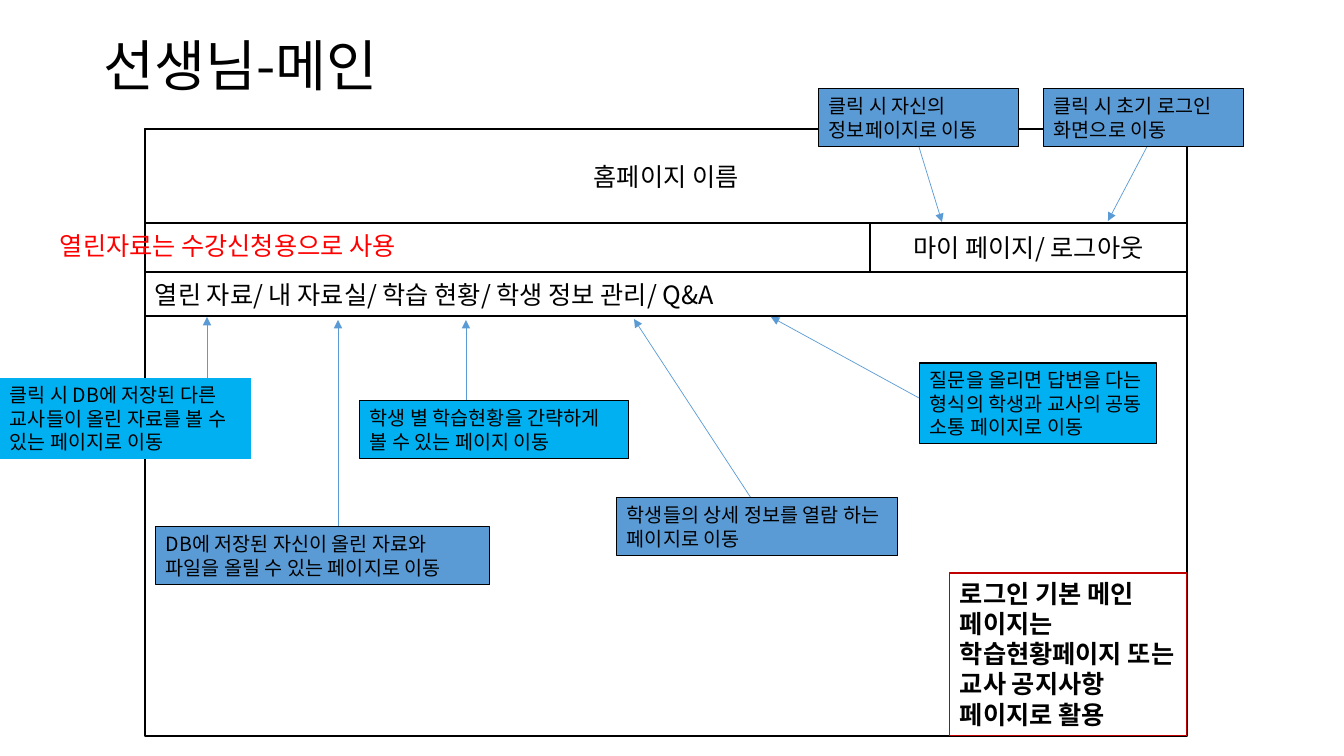
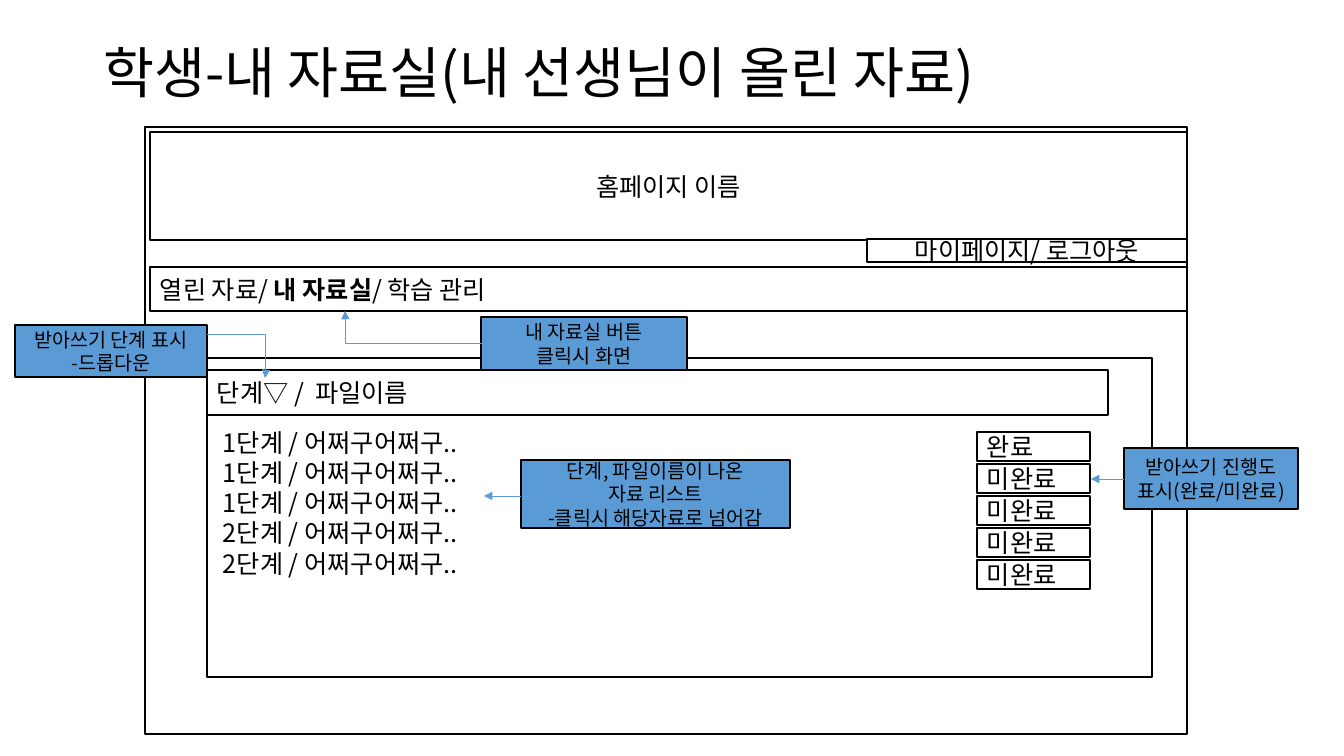
from lxml import etree
from pptx import Presentation
from pptx import util as u
from pptx.dml.color import RGBColor
from pptx.enum import shapes, text as t
from pptx.oxml.ns import qn

PX = 914400 / 100.8
FONT = "Noto Sans CJK KR"
BLACK = RGBColor(0x00, 0x00, 0x00)
WHITE = RGBColor(0xFF, 0xFF, 0xFF)
BLUE = RGBColor(0x5B, 0x9B, 0xD5)
CYAN = RGBColor(0x00, 0xB0, 0xF0)
RED = RGBColor(0xFF, 0x00, 0x00)
DARK = RGBColor(0xC0, 0x00, 0x00)
LEFT, MID = t.PP_ALIGN.LEFT, t.PP_ALIGN.CENTER
TOP, HALF = t.MSO_ANCHOR.TOP, t.MSO_ANCHOR.MIDDLE


def px(*vals):
    return [u.Emu(round(v * PX)) for v in vals]


def inside(box, x, y, wide, high):
    """Turn a place within a box into a place on the slide."""
    return box[0] + x, box[1] + y, wide, high


# Shared text, box and arrow styles
def style(frame, size, color=BLACK, align=LEFT, anchor=HALF):
    frame.word_wrap = True
    frame.auto_size = t.MSO_AUTO_SIZE.NONE
    frame.vertical_anchor = anchor
    for para in frame.paragraphs:
        para.alignment = align
        for run in para.runs:
            run.font.size = u.Pt(size)
            run.font.color.rgb = color
            run.font.name = FONT
            east = etree.SubElement(run.font._element, qn("a:ea"))
            east.set("typeface", FONT)


def panel(slide, at, words="", fill=WHITE, line=BLACK, width=1, size=18,
          align=LEFT, anchor=HALF):
    rect = slide.shapes.add_shape(shapes.MSO_SHAPE.RECTANGLE, *px(*at))
    rect.shadow.inherit = False
    rect.fill.solid()
    rect.fill.fore_color.rgb = fill
    if line is None:
        rect.line.fill.background()
    else:
        rect.line.color.rgb = line
        rect.line.width = u.Pt(width)
    rect.text_frame.text = words
    style(rect.text_frame, size, align=align, anchor=anchor)
    return rect


def arrow(slide, start, end, bend=None):
    kind = shapes.MSO_CONNECTOR.STRAIGHT if bend is None else shapes.MSO_CONNECTOR.ELBOW
    link = slide.shapes.add_connector(kind, *px(*start, *end))
    link.line.color.rgb = BLUE
    link.line.width = u.Pt(0.5)
    props = link._element.spPr
    etree.SubElement(props.find(qn("a:ln")), qn("a:tailEnd")).set("type", "triangle")
    etree.SubElement(props, qn("a:effectLst"))
    if bend is not None:
        geom = props.find(qn("a:prstGeom"))
        guide = etree.SubElement(geom.get_or_add_avLst(), qn("a:gd"))
        guide.set("name", "adj1")
        guide.set("fmla", f"val {bend}")


def title(slide, words, top):
    head = slide.shapes.title
    head.left, head.top, head.width, head.height = px(93, top, 1124, 71)
    head.text_frame.text = words
    head.text_frame.paragraphs[0].line_spacing = 0.9
    style(head.text_frame, 39.6)


# Page parts common to both mock-ups
def page(slide, box, pad, high, user, login, menu, bold=None):
    """Draw the frame, site name, account links and menu bar."""
    wide = box[2] - pad
    panel(slide, box)
    panel(slide, inside(box, pad, pad, wide, high), "홈페이지 이름", align=MID)
    panel(slide, inside(box, *user), login, align=MID)
    bar = panel(slide, inside(box, pad, menu[0], wide, 44))
    para = bar.text_frame.paragraphs[0]
    for item in menu[1]:
        run = para.add_run()
        run.text = item
        run.font.bold = item == bold
    style(bar.text_frame, 18)


def note(slide, at, words, start, end, fill=BLUE, line=BLACK):
    arrow(slide, start, end)
    panel(slide, at, words, fill, line, 0.75, 14, anchor=TOP)


def label(slide, at, words):
    panel(slide, at, words, BLUE, size=14, align=MID)


# File list with its progress cells
def files(slide, box):
    rows = [f"{step}단계 / 어쩌구어쩌구.." for step in (1, 1, 1, 2, 2)]
    body = panel(slide, box, "\n".join(rows), anchor=TOP)
    body.text_frame.margin_left, body.text_frame.margin_top = px(16, 69)
    panel(slide, inside(box, 0, 12, 901, 45), "단계▽ /  파일이름")
    for i, state in enumerate(["완료"] + ["미완료"] * 4):
        panel(slide, inside(box, 770, 74 + 32 * i, 113, 29), state)


def teacher(slide):
    title(slide, "선생님-메인", 33)
    page(slide, (145, 129, 1042, 607), 0, 94, (725, 94, 317, 49),
         "마이 페이지/ 로그아웃",
         (143, ["열린 자료/ 내 자료실/ 학습 현황/ 학생 정보 관리/ Q&A"]))
    notes = [
        ((819, 89, 200, 58), "클릭 시 자신의 정보페이지로 이동", (919, 147), (942, 222)),
        ((1044, 89, 200, 58), "클릭 시 초기 로그인 화면으로 이동", (1149, 143), (1108, 221)),
        ((0, 378, 251, 81), "클릭 시 DB에 저장된 다른 교사들이 올린 자료를 볼 수 있는 페이지로 이동",
         (207, 378), (207, 317), CYAN, None),
        ((156, 527, 334, 58), "DB에 저장된 자신이 올린 자료와 파일을 올릴 수 있는 페이지로 이동",
         (338, 527), (338, 320)),
        ((360, 401, 269, 58), "학생 별 학습현황을 간략하게 볼 수 있는 페이지 이동",
         (466, 401), (466, 320), CYAN),
        ((617, 498, 281, 58), "학생들의 상세 정보를 열람 하는 페이지로 이동",
         (751, 498), (634, 319)),
        ((920, 363, 237, 81), "질문을 올리면 답변을 다는 형식의 학생과 교사의 공동 소통 페이지로 이동",
         (919, 398), (771, 317), CYAN),
    ]
    for item in notes:
        note(slide, *item)

    # Remarks on the page as a whole
    main = panel(slide, (950, 573, 237, 163),
                 "로그인 기본 메인 페이지는 학습현황페이지 또는 교사 공지사항 페이지로 활용",
                 line=DARK, width=0.75, anchor=TOP)
    main.text_frame.paragraphs[0].runs[0].font.bold = True
    usage = slide.shapes.add_textbox(*px(50, 225, 466, 40)).text_frame
    usage.text = "열린자료는 수강신청용으로 사용"
    style(usage, 18, RED, anchor=TOP)


def student(slide):
    title(slide, "학생-내 자료실(내 선생님이 올린 자료)", 40)
    page(slide, (145, 127, 1042, 607), 5, 108, (722, 112, 320, 23),
         "마이페이지/ 로그아웃",
         (140, ["열린 자료/ ", "내 자료실", "/ 학습 관리"]), "내 자료실")
    files(slide, (207, 358, 945, 319))

    # Labels and their arrows
    label(slide, (481, 317, 206, 53), "내 자료실 버튼\n클릭시 화면")
    arrow(slide, (484, 343), (345, 311), 99700)
    label(slide, (15, 325, 192, 52), "받아쓰기 단계 표시\n-드롭다운")
    arrow(slide, (207, 334), (265, 378), 101500)
    label(slide, (1124, 448, 174, 61), "받아쓰기 진행도 표시(완료/미완료)")
    arrow(slide, (1124, 479), (1091, 479))
    label(slide, (521, 460, 269, 68),
          "단계, 파일이름이 나온\n자료 리스트\n-클릭시 해당자료로 넘어감")
    arrow(slide, (521, 496), (484, 496))


deck = Presentation()
deck.slide_width, deck.slide_height = px(1344, 756)
for build in (teacher, student):
    build(deck.slides.add_slide(deck.slide_layouts[5]))
deck.save("out.pptx")
